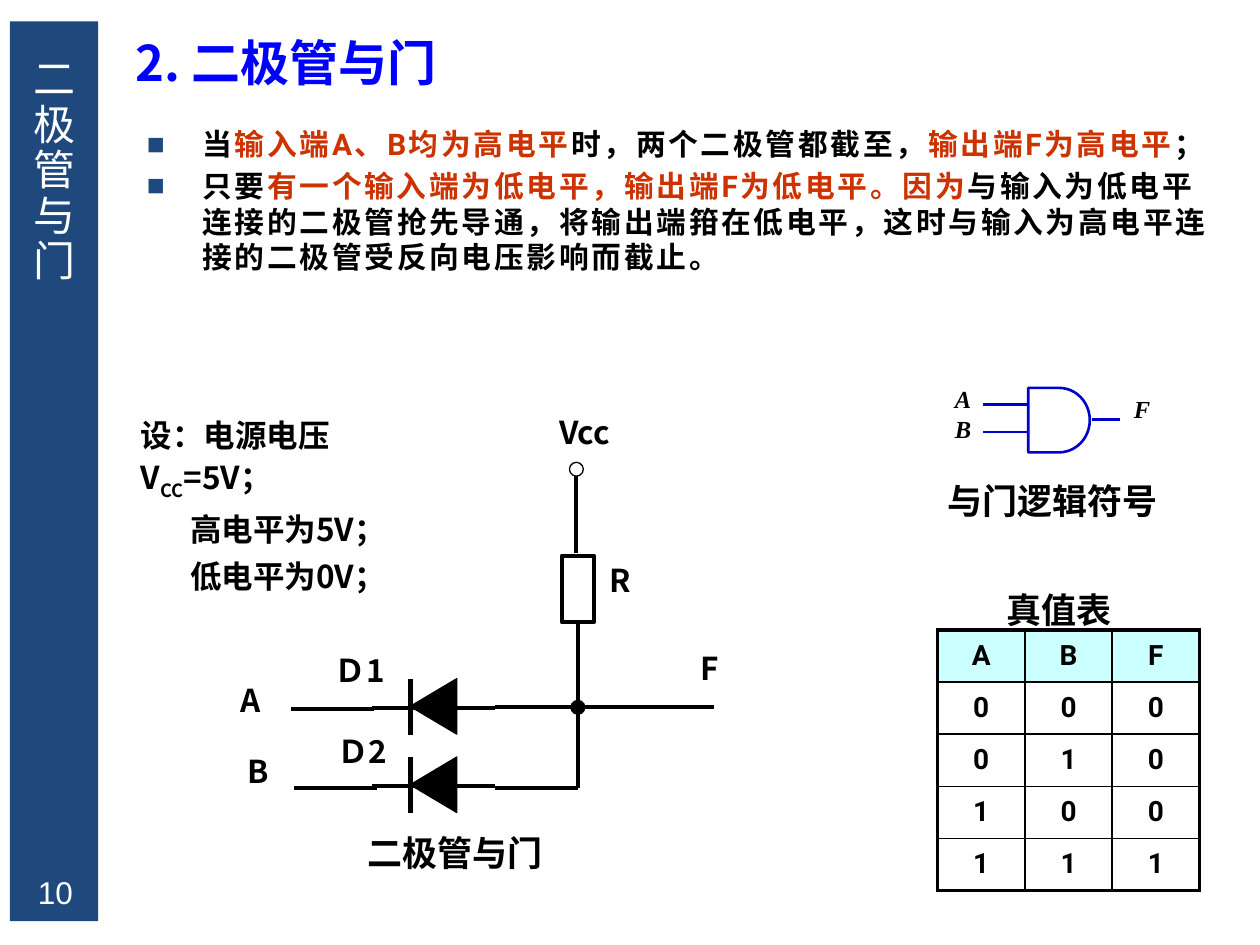
"""Build the slide on the diode AND gate with its circuit, symbol and truth table."""
import pptx
import pptx.dml.color
import pptx.enum.shapes
import pptx.enum.text
import pptx.oxml
import pptx.oxml.ns
import pptx.util
from lxml import etree

Cm = pptx.util.Cm
Pt = pptx.util.Pt
Shapes = pptx.enum.shapes.MSO_SHAPE
Align = pptx.enum.text.PP_ALIGN
Anchor = pptx.enum.text.MSO_ANCHOR

NAVY, RED, BLUE, BLACK, WHITE = "1F497D", "CC3300", "0000CC", "000000", "FFFFFF"
CJK = "Noto Sans CJK SC"

BODY = [
    [("当", BLACK), ("输入端A、B均为高电平", RED), ("时，两个二极管都截至，", BLACK),
     ("输出端F为高电平", RED), ("；", BLACK)],
    [("只要", BLACK), ("有一个输入端为低电平，输出端F为低电平。因为", RED),
     ("与输入为低电平连接的二极管抢先导通，将输出端箝在低电平，"
      "这时与输入为高电平连接的二极管受反向电压影响而截止。", BLACK)],
]
CONDITIONS = [
    [("设：电源电压V", 0), ("CC", -25000), ("=5V；", 0)],
    [("高电平为5V；", 0)],
    [("低电平为0V；", 0)],
]
TRUTH_TABLE = ["ABF", "000", "010", "100", "111"]
TABLE_LEFT, TABLE_TOP, COLUMN_WIDTH, ROW_HEIGHT = 18.9, 12.7, 1.76, 1.05

CIRCUIT_LABELS = [
    ("Ｄ1", (6.5, 13.13, 1.83, 1.02), 18),
    ("Ｄ2", (6.55, 14.76, 1.83, 1.02), 18),
    ("A", (4.6, 13.72, 1.65, 1.02), 18),
    ("B", (4.75, 15.16, 1.65, 1.02), 18),
    ("R", (12.04, 11.3, 1.65, 1.02), 18),
    ("Vcc", (11.02, 8.33, 2.06, 1.02), 18),
    ("F", (13.87, 13.08, 1.65, 1.02), 18),
    ("二极管与门", (7.16, 16.76, 5.05, 1.09), 20),
    ("2. 二极管与门", (2.49, 0.66, 7.04, 1.45), 28),
]
CAPTIONS = [
    ("与门逻辑符号", (18.85, 9.53, 4.85, 1.09)),
    ("真值表", (20.04, 11.73, 3.68, 1.09)),
]
GATE_LABELS = [("A\nB", (19, 7.62, 0.97, 1.37)), ("F", (22.61, 7.82, 0.97, 1.09))]
GATE_LINES = [(22.02, 8.46, 22.58, 8.46), (19.81, 8.15, 20.73, 8.15), (19.81, 8.71, 20.73, 8.71)]
DIODES = [(0, 5.87), (1.58, 5.92)]
WIRES = [
    (9.98, 14.25, 14.4, 14.25), (9.98, 15.88, 11.66, 15.88),
    (11.66, 12.55, 11.66, 15.88), (11.61, 9.58, 11.61, 11.15),
]


def color(value):
    return pptx.dml.color.RGBColor.from_string(value)


def add_shape(slide, kind, box, fill=None, line=None, width=0.75):
    shape = slide.shapes.add_shape(kind, *map(Cm, box))
    shape.shadow.inherit = False
    if fill:
        shape.fill.solid()
        shape.fill.fore_color.rgb = color(fill)
    else:
        shape.fill.background()
    if line:
        shape.line.color.rgb = color(line)
        shape.line.width = Pt(width)
    else:
        shape.line.fill.background()
    return shape


def add_line(slide, ends, line=BLACK, width=2.25):
    connector = slide.shapes.add_connector(
        pptx.enum.shapes.MSO_CONNECTOR.STRAIGHT, *map(Cm, ends))
    connector.line.color.rgb = color(line)
    connector.line.width = Pt(width)
    etree.SubElement(connector._element.spPr, pptx.oxml.ns.qn("a:effectLst"))


def add_run(paragraph, text, size=18, font=CJK, ink=BLACK, bold=True, italic=False,
            spacing=0, baseline=0):
    run = paragraph.add_run()
    run.text = text
    run.font.size, run.font.name = Pt(size), font
    run.font.bold, run.font.italic = bold, italic
    run.font.color.rgb = color(ink)
    properties = run._r.get_or_add_rPr()
    east_asian = etree.Element(pptx.oxml.ns.qn("a:ea"), typeface="Lato")
    properties.find(pptx.oxml.ns.qn("a:latin")).addnext(east_asian)
    if spacing:
        properties.set("spc", str(int(spacing * 100)))
    if baseline:
        properties.set("baseline", str(baseline))


def add_text_box(slide, box, top=0.13, wrap=True):
    frame = slide.shapes.add_textbox(*map(Cm, box)).text_frame
    frame.word_wrap = wrap
    frame.margin_top = Cm(top)
    return frame


def add_text(slide, text, box, top=0.13, wrap=True, align=Align.LEFT, **style):
    frame = add_text_box(slide, box, top, wrap)
    for index, line in enumerate(text.split("\n")):
        paragraph = frame.add_paragraph() if index else frame.paragraphs[0]
        paragraph.alignment = align
        add_run(paragraph, line, **style)
    return frame


def add_body(slide):
    frame = add_text_box(slide, (2.59, 2.41, 22.1, 3.4))
    for index, runs in enumerate(BODY):
        paragraph = frame.add_paragraph() if index else frame.paragraphs[0]
        properties = paragraph._p.get_or_add_pPr()
        properties.set("marL", str(Cm(1.24)))
        properties.set("indent", str(Cm(-1.12)))
        bullet_color = etree.SubElement(properties, pptx.oxml.ns.qn("a:buClr"))
        etree.SubElement(bullet_color, pptx.oxml.ns.qn("a:srgbClr"), val=NAVY)
        etree.SubElement(properties, pptx.oxml.ns.qn("a:buFont"), typeface="Arial")
        etree.SubElement(properties, pptx.oxml.ns.qn("a:buChar"), char="■")
        if index:
            paragraph.space_before = Pt(3.4)
        for text, ink in runs:
            add_run(paragraph, text, size=17, font="Roboto", ink=ink, spacing=1.5)


def add_conditions(slide):
    frame = add_text_box(slide, (2.59, 8.08, 6.5, 3))
    for index, runs in enumerate(CONDITIONS):
        paragraph = frame.add_paragraph() if index else frame.paragraphs[0]
        paragraph.line_spacing = Pt(26.8)
        if index:
            paragraph._p.get_or_add_pPr().set("marL", str(Cm(1)))
        for text, baseline in runs:
            add_run(paragraph, text, baseline=baseline)


def add_truth_table(slide):
    rows, columns = len(TRUTH_TABLE), len(TRUTH_TABLE[0])
    box = (TABLE_LEFT, TABLE_TOP, COLUMN_WIDTH * columns, ROW_HEIGHT * rows)
    table = slide.shapes.add_table(rows, columns, *map(Cm, box)).table
    for row, values in enumerate(TRUTH_TABLE):
        for column, value in enumerate(values):
            cell = table.cell(row, column)
            cell.margin_top = cell.margin_bottom = 0
            cell.vertical_anchor = Anchor.MIDDLE
            paragraph = cell.text_frame.paragraphs[0]
            paragraph.alignment = Align.CENTER
            add_run(paragraph, value, size=16, font="Roboto")
            outer = {"L": column == 0, "R": column == columns - 1,
                     "T": row == 0, "B": row == rows - 1}
            properties = cell._tc.get_or_add_tcPr()
            for side, is_outer in outer.items():
                border = etree.SubElement(properties, pptx.oxml.ns.qn(f"a:ln{side}"),
                                          w=str(Pt(2.25 if is_outer else 1)))
                fill = etree.SubElement(border, pptx.oxml.ns.qn("a:solidFill"))
                etree.SubElement(fill, pptx.oxml.ns.qn("a:srgbClr"), val=BLACK)
            cell.fill.solid()
            cell.fill.fore_color.rgb = color(WHITE if row else "CCFFFF")


def add_circuit(slide):
    for offset, input_left in DIODES:
        triangle = add_shape(slide, Shapes.ISOSCELES_TRIANGLE,
                             (8.18, 13.77 + offset, 1.12, 0.94), BLACK, BLACK)
        triangle.rotation = 270
        add_line(slide, (8.27, 13.69 + offset, 8.27, 14.81 + offset), width=3)
        add_line(slide, (7.49, 14.27 + offset, 9.98, 14.27 + offset))
        add_line(slide, (input_left, 14.3 + offset, input_left + 1.67, 14.3 + offset))
    for wire in WIRES:
        add_line(slide, wire)
    add_shape(slide, Shapes.RECTANGLE, (11.33, 11.2, 0.64, 1.35), line=BLACK, width=2.25)
    add_shape(slide, Shapes.OVAL, (11.51, 14.12, 0.28, 0.28), BLACK, BLACK)
    add_shape(slide, Shapes.OVAL, (11.48, 9.32, 0.28, 0.28), WHITE, BLACK)
    for text, box, size in CIRCUIT_LABELS:
        is_heading = size == 28
        add_text(slide, text, box, top=0, wrap=not is_heading, size=size,
                 ink="0000FF" if is_heading else BLACK)


def add_gate_symbol(slide):
    add_shape(slide, Shapes.FLOWCHART_DELAY, (20.73, 7.82, 1.24, 1.3), line=BLUE, width=1.5)
    for ends in GATE_LINES:
        add_line(slide, ends, BLUE, 1.5)
    for text, box in GATE_LABELS:
        add_text(slide, text, box, align=Align.JUSTIFY, size=14, font="Times New Roman", italic=True)


def main():
    presentation = pptx.Presentation()
    presentation.slide_width, presentation.slide_height = Cm(25.4), Cm(19.05)
    slide = presentation.slides.add_slide(presentation.slide_layouts[6])
    add_shape(slide, Shapes.RECTANGLE, (0.2, 0.43, 1.78, 18.14), NAVY)
    number = add_text(slide, "10", (0.3, 17.53, 1.63, 0.89), align=Align.CENTER,
                      font="Arial", ink=WHITE, bold=False)
    number.vertical_anchor = Anchor.MIDDLE
    title = add_text(slide, "二极管与门", (0.25, 1.04, 1.65, 17.07), size=24,
                     font="Roboto", ink=WHITE, bold=False, spacing=2)
    title.vertical_anchor = Anchor.MIDDLE
    title._txBody.bodyPr.set("vert", "eaVert")
    add_body(slide)
    add_gate_symbol(slide)
    add_truth_table(slide)
    add_circuit(slide)
    add_conditions(slide)
    for text, box in CAPTIONS:
        add_text(slide, text, box, size=20, font="Lato")
    presentation.save("out.pptx")


if __name__ == "__main__":
    main()
